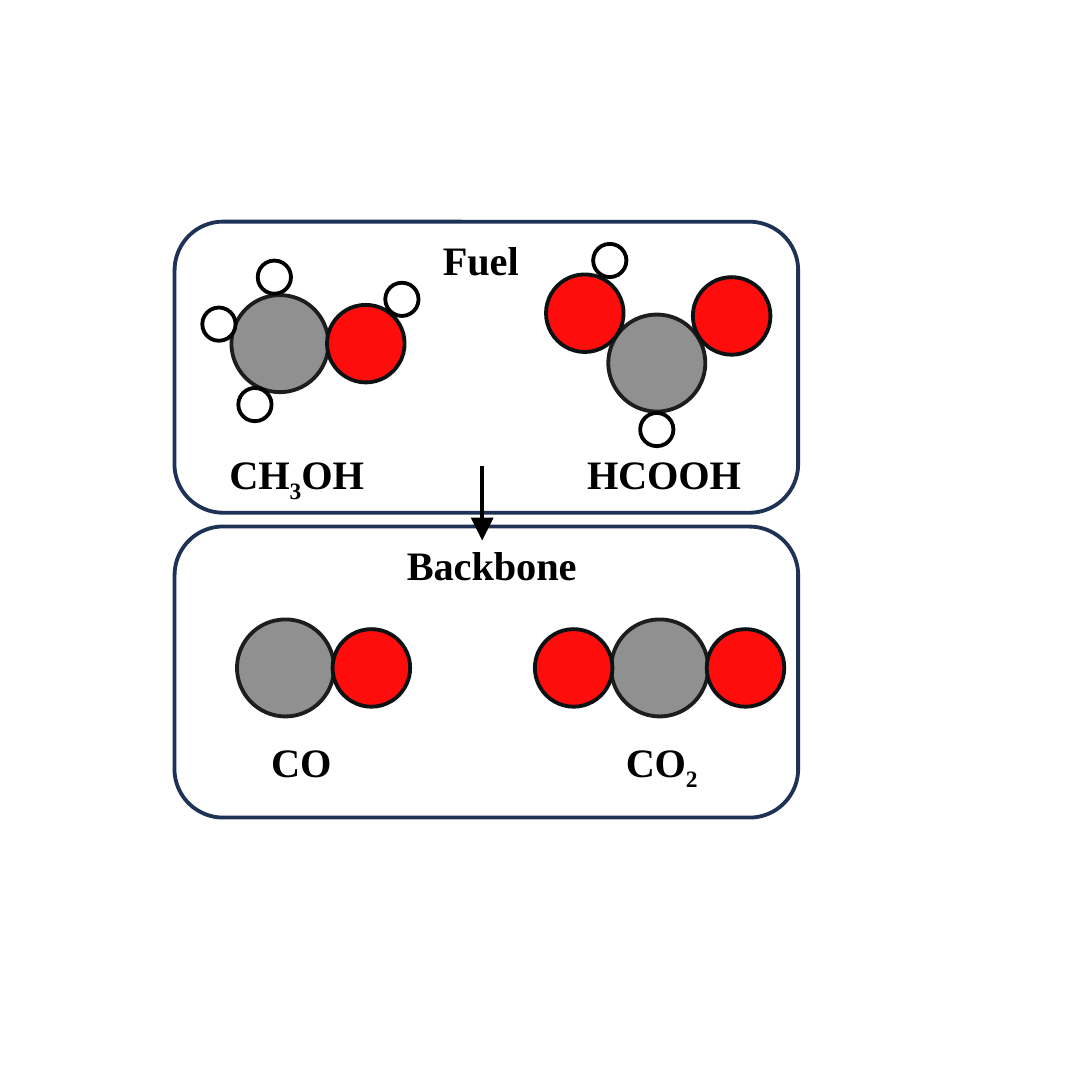
from itertools import groupby
from lxml import etree
from pptx import Presentation
from pptx.dml.color import RGBColor as RGB
from pptx.enum.shapes import MSO_CONNECTOR as Conn, MSO_SHAPE as Shape
from pptx.enum.text import MSO_AUTO_SIZE as Fit
from pptx.oxml.ns import qn
from pptx.util import Inches, Pt

# Content: atoms as (element, centre x, centre y), back to front
MOLS = {
    "HCOOH": [("C", 2.37, 1.31), ("O", 2.64, 1.14), ("H", 2.37, 1.55),
              ("O", 2.11, 1.13), ("H", 2.2, 0.94)],
    "CO2": [("C", 2.38, 2.41), ("O", 2.69, 2.41), ("O", 2.07, 2.41)],
    "CH3OH": [("C", 1.01, 1.24), ("O", 1.32, 1.24), ("H", 0.92, 1.46),
              ("H", 0.99, 1.0), ("H", 0.79, 1.17), ("H", 1.45, 1.08)],
    "CO": [("C", 1.03, 2.41), ("O", 1.34, 2.41)],
}
# Labels as (text, left, top, width); digits are set as subscripts
LABELS = [("CO2", 2.16, 2.61, 0.47), ("HCOOH", 2.02, 1.57, 0.76),
          ("CH3OH", 0.73, 1.57, 0.7), ("CO", 0.88, 2.61, 0.42),
          ("Backbone", 1.37, 1.9, 0.82), ("Fuel", 1.5, 0.8, 0.48)]
PANELS = [0.8, 1.9]
SIZES = {"C": 0.35, "O": 0.28, "H": 0.12}
COLORS = {"C": "909090", "O": "FF0C0D", "H": "FFFFFF", "panel": "1E3256",
          "C rim": "1E1C1F", "O rim": "0B1213", "H rim": "000000",
          "ink": "000000"}

deck = Presentation()
deck.slide_width = deck.slide_height = Inches(3.94)
slide = deck.slides.add_slide(deck.slide_layouts[6])
shapes = slide.shapes


def color(name):
    return RGB.from_string(COLORS[name])


def draw(kind, box, rim, fill=None):
    item = shapes.add_shape(kind, *map(Inches, box))
    item.shadow.inherit = False
    if fill:
        item.fill.solid()
        item.fill.fore_color.rgb = color(fill)
    else:
        item.fill.background()
    item.line.color.rgb = color(rim)
    item.line.width = Pt(1)


def label(text, left, top, width):
    box = shapes.add_textbox(*map(Inches, (left, top, width, 0.28)))
    frame = box.text_frame
    frame.word_wrap = False
    frame.auto_size = Fit.SHAPE_TO_FIT_TEXT
    para = frame.paragraphs[0]
    font = para.font
    font.name, font.size, font.bold = "Times New Roman", Pt(10.5), True
    font.color.rgb = color("ink")
    for sub, part in groupby(text, str.isdigit):
        run = para.add_run()
        run.text = "".join(part)
        if sub:
            run._r.get_or_add_rPr().set("baseline", "-25000")


# Molecules
for atoms in MOLS.values():
    for atom, x, y in atoms:
        size = SIZES[atom]
        box = (x - size / 2, y - size / 2, size, size)
        draw(Shape.OVAL, box, atom + " rim", atom)

# Panels and labels
for top in PANELS:
    draw(Shape.ROUNDED_RECTANGLE, (0.63, top, 2.25, 1.05), "panel")
for row in LABELS:
    label(*row)

# Arrow from fuel to backbone
arrow = shapes.add_connector(Conn.STRAIGHT, *map(Inches, (1.74, 1.68, 1.74, 1.95)))
arrow.line.color.rgb = color("ink")
arrow.line.width = Pt(1)
etree.SubElement(arrow.line._get_or_add_ln(), qn("a:tailEnd"), type="triangle")
etree.SubElement(arrow._element.spPr, qn("a:effectLst"))

deck.save("out.pptx")
